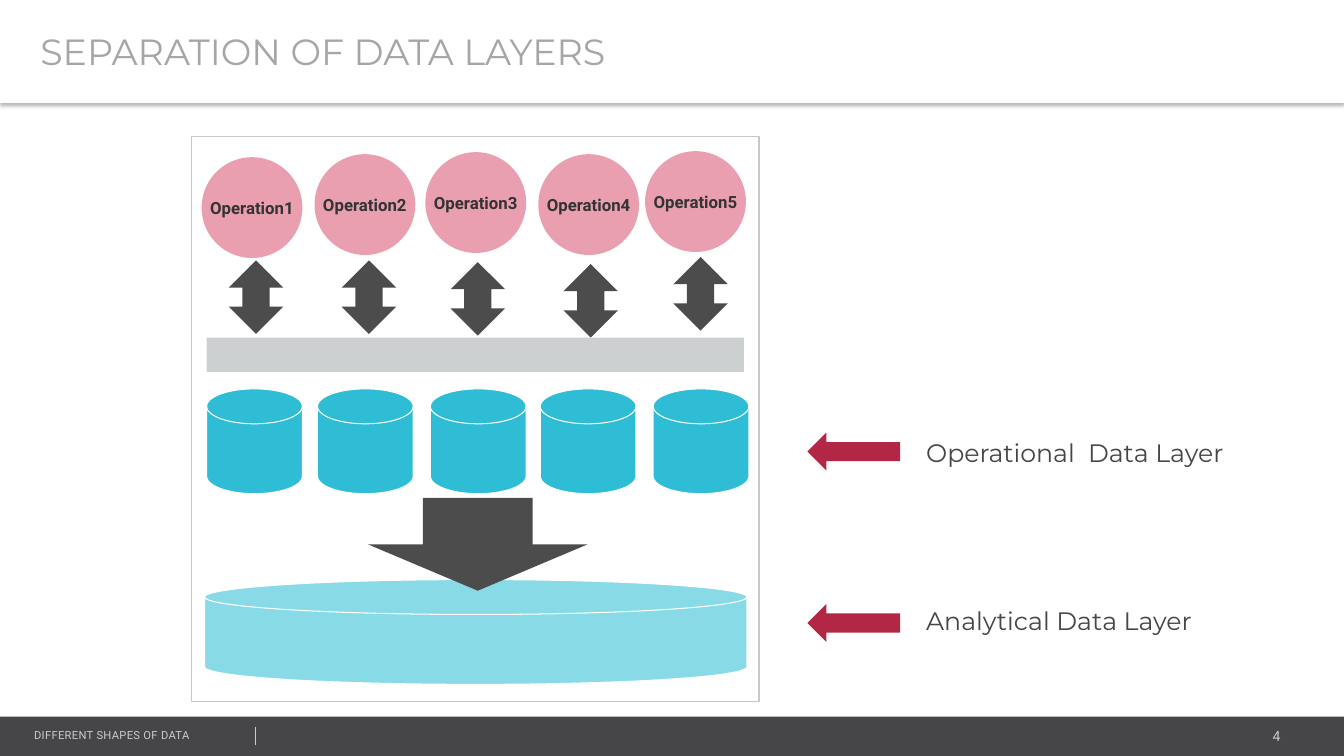
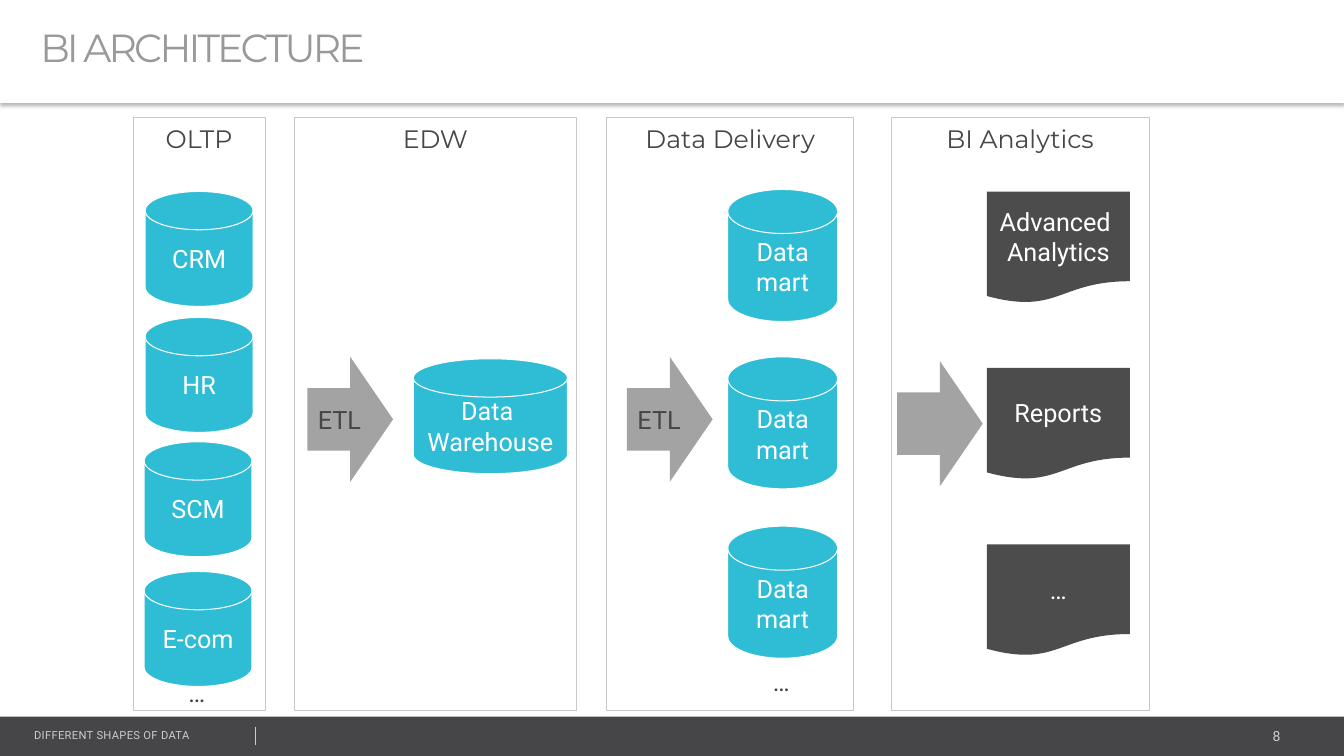
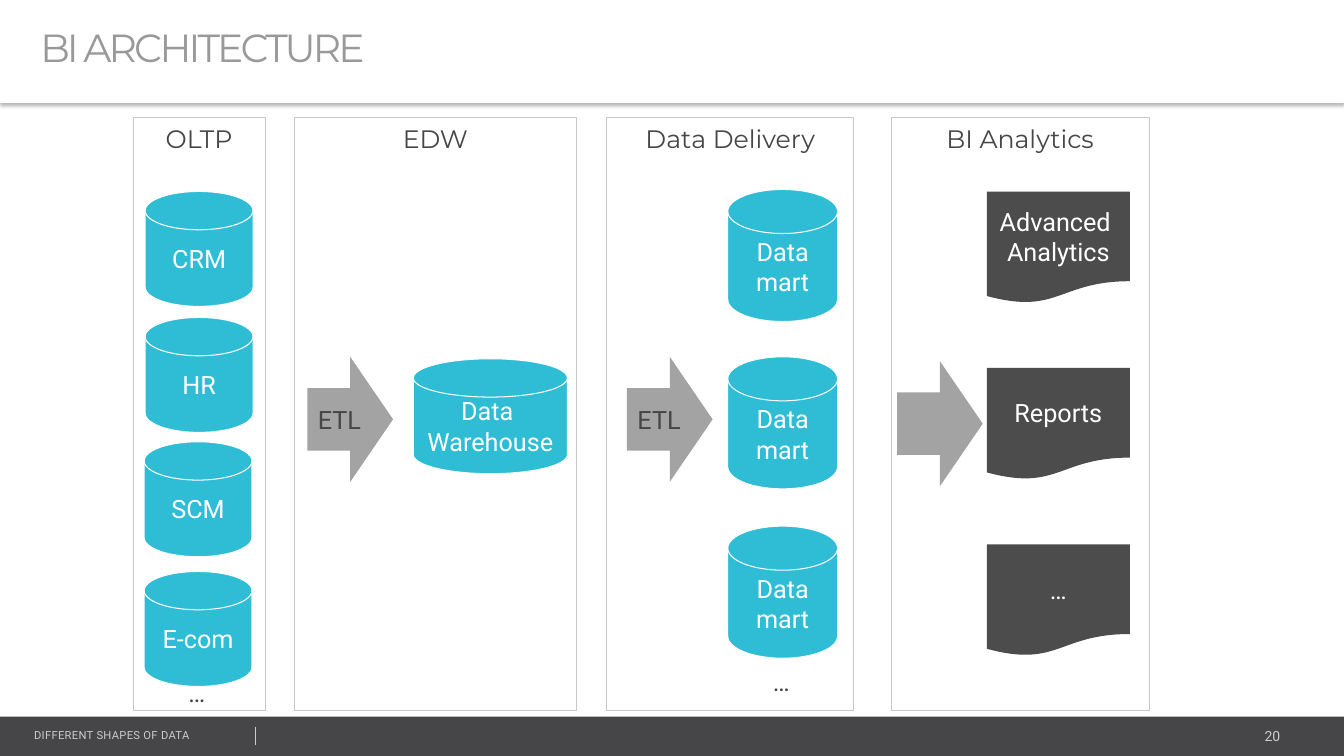
from lxml.etree import SubElement
from pptx import Presentation
from pptx.dml.color import RGBColor
from pptx.enum.shapes import MSO_CONNECTOR, MSO_SHAPE
from pptx.enum.text import MSO_ANCHOR, PP_ALIGN
from pptx.oxml.ns import qn
from pptx.util import Inches, Pt

WHITE = RGBColor(0xFF, 0xFF, 0xFF)
CHARCOAL = RGBColor(0x46, 0x45, 0x47)
DARK = RGBColor(0x4C, 0x4C, 0x4C)
INK = RGBColor(0x33, 0x33, 0x33)
DOTS = RGBColor(0x44, 0x44, 0x44)
SILVER = RGBColor(0xCC, 0xCC, 0xCC)
FRAME = RGBColor(0xC8, 0xC8, 0xC8)
BAR = RGBColor(0xCD, 0xD0, 0xD1)
GRAY = RGBColor(0xA3, 0xA3, 0xA3)
TITLE_LIGHT = RGBColor(0xA6, 0xA6, 0xA6)
TITLE_GRAY = RGBColor(0x99, 0x99, 0x99)
PINK = RGBColor(0xEA, 0x9F, 0xB0)
CYAN = RGBColor(0x2F, 0xBD, 0xD5)
PALE_CYAN = RGBColor(0x88, 0xDA, 0xE7)
RED = RGBColor(0xB2, 0x27, 0x46)

HEADING = "Montserrat"
BODY = "Roboto"
COLUMNS, ROWS = 160, 90


class Deck:
    def __init__(self):
        self.presentation = Presentation()
        self.presentation.slide_width = Inches(13.33)
        self.presentation.slide_height = Inches(7.5)
        self.column = self.presentation.slide_width / COLUMNS
        self.row = self.presentation.slide_height / ROWS
        self.slide = None

    def cells(self, left, top, width, height):
        return (round(left * self.column), round(top * self.row),
                round(width * self.column), round(height * self.row))

    def shape(self, kind, box, fill=None, line=None):
        shape = self.slide.shapes.add_shape(kind, *self.cells(*box))
        shape.shadow.inherit = False
        if fill is None:
            shape.fill.background()
        else:
            shape.fill.solid()
            shape.fill.fore_color.rgb = fill
        if line is None:
            shape.line.fill.background()
        else:
            shape.line.color.rgb = line
            shape.line.width = Pt(0.75)
        return shape

    def set_text(self, shape, text, size=18, color=WHITE, font=BODY, bold=False,
                 align=PP_ALIGN.CENTER, anchor=MSO_ANCHOR.MIDDLE, wrap=True,
                 leading=None, tracking=None):
        frame = shape.text_frame
        frame.text = text
        frame.word_wrap = wrap
        frame.vertical_anchor = anchor
        for paragraph in frame.paragraphs:
            paragraph.alignment = align
            if leading:
                paragraph.line_spacing = leading
            for run in paragraph.runs:
                run.font.name = font
                run.font.size = Pt(size)
                run.font.bold = bold
                run.font.color.rgb = color
                if tracking:
                    run._r.get_or_add_rPr().set("spc", str(tracking))

    def label(self, box, text, align=PP_ALIGN.LEFT, **style):
        textbox = self.slide.shapes.add_textbox(*self.cells(*box))
        self.set_text(textbox, text, align=align, anchor=MSO_ANCHOR.TOP, **style)

    def disk(self, box, text="", fill=CYAN):
        disk = self.shape(MSO_SHAPE.FLOWCHART_MAGNETIC_DISK, box, fill, WHITE)
        if text:
            self.set_text(disk, text)

    def document(self, box, text):
        self.set_text(self.shape(MSO_SHAPE.FLOWCHART_DOCUMENT, box, DARK), text)

    def circle(self, box, text):
        circle = self.shape(MSO_SHAPE.OVAL, box, PINK)
        frame = circle.text_frame
        frame.margin_left = frame.margin_right = 0
        frame.margin_top = frame.margin_bottom = 0
        self.set_text(circle, text, 12, INK, bold=True, wrap=False)

    def flow(self, box, text=""):
        arrow = self.shape(MSO_SHAPE.RIGHT_ARROW, box, GRAY)
        if text:
            self.set_text(arrow, text, color=CHARCOAL)

    def panel(self, box, text=""):
        panel = self.shape(MSO_SHAPE.RECTANGLE, box, line=FRAME)
        if text:
            self.set_text(panel, text, color=CHARCOAL, font=HEADING, anchor=MSO_ANCHOR.TOP)

    def title(self, text, **style):
        band = self.shape(MSO_SHAPE.RECTANGLE, (0, 0, COLUMNS, 12.24), WHITE)
        effects = band._element.spPr.find(qn("a:effectLst"))
        shadow = SubElement(effects, qn("a:outerShdw"), blurRad=str(Pt(3.1)),
                            dist=str(Pt(2)), dir="5400000", algn="t", rotWithShape="0")
        black = SubElement(shadow, qn("a:srgbClr"), val="000000")
        SubElement(black, qn("a:alpha"), val="30000")
        band.text_frame.margin_left = Inches(0.4)
        self.set_text(band, text, font=HEADING, align=PP_ALIGN.LEFT, **style)

    def footer(self, number):
        self.shape(MSO_SHAPE.RECTANGLE, (0, 85.3, COLUMNS, 4.7), CHARCOAL)
        self.label((127.44, 86.04, 26.16, 3.24), str(number), PP_ALIGN.RIGHT,
                   size=10, color=SILVER)
        self.label((2.88, 86.16, 40.56, 2.88), "DIFFERENT SHAPES OF DATA",
                   size=8, color=SILVER, tracking=20)
        x, top, _, height = self.cells(30.36, 86.5, 0, 2.2)
        divider = self.slide.shapes.add_connector(
            MSO_CONNECTOR.STRAIGHT, x, top, x, top + height)
        divider.line.color.rgb = SILVER
        divider.line.width = Pt(0.25)
        SubElement(divider._element.spPr, qn("a:effectLst"))

    def start(self, number, title, **style):
        self.slide = self.presentation.slides.add_slide(self.presentation.slide_layouts[6])
        self.footer(number)
        self.title(title, **style)


def data_layers(deck):
    deck.start(4, "SEPARATION OF DATA LAYERS", size=26, color=TITLE_LIGHT)
    operations = [
        ((24, 18.72), (27.24, 31), 24.6),
        ((37.44, 18.36), (40.68, 31), 37.8),
        ((50.64, 18.12), (53.64, 31.2), 51.24),
        ((64.08, 18.36), (67.08, 31.44), 64.32),
        ((76.8, 18), (80.16, 30.6), 77.76),
    ]
    for index, (operation, exchange, store) in enumerate(operations, 1):
        deck.circle((*operation, 12, 12), f"Operation{index}")
        deck.shape(MSO_SHAPE.UP_DOWN_ARROW, (*exchange, 6.48, 8.76), DARK)
        deck.disk((store, 46.3, 11.4, 12.48))
    deck.shape(MSO_SHAPE.RECTANGLE, (24.6, 40.2, 63.96, 4.08), BAR)
    deck.panel((22.8, 16.2, 67.56, 67.32))
    deck.disk((24.36, 69, 64.56, 12.48), fill=PALE_CYAN)
    deck.shape(MSO_SHAPE.DOWN_ARROW, (43.8, 59.28, 26.16, 11.04), DARK)

    layers = [("Operational  Data Layer", 51.48, 51.48),
              ("Analytical Data Layer", 71.52, 71.88)]
    for layer, label_top, pointer_top in layers:
        deck.label((109.08, label_top, 41.64, 4.8), layer, color=CHARCOAL, font=HEADING)
        deck.shape(MSO_SHAPE.LEFT_ARROW, (96.12, pointer_top, 11.04, 4.56), RED)


def bi_architecture(deck, number):
    deck.start(number, "BI ARCHITECTURE", size=28, color=TITLE_GRAY,
               leading=0.8, tracking=-200)
    stages = [("OLTP", 15.84, 15.72), ("EDW", 35.04, 33.6),
              ("Data Delivery", 72.24, 29.4), ("BI Analytics", 106.08, 30.72)]
    for stage, left, width in stages:
        deck.panel((left, 14.04, width, 70.56), stage)

    sources = [("CRM", 17.28, 22.8), ("HR", 17.28, 37.8),
               ("SCM", 17.16, 52.6), ("E-com", 17.16, 68.04)]
    for source, left, top in sources:
        deck.disk((left, top, 12.84, 13.68), source)
    deck.disk((49.2, 42.72, 18.36, 13.68), "Data \nWarehouse")
    for top in (22.56, 42.48, 62.64):
        deck.disk((86.64, top, 13.08, 15.72), "Data mart")
    for index, output in enumerate(("Advanced \nAnalytics", "Reports", "…")):
        deck.document((117.48, 22.8 + 21 * index, 17.04, 13.32), output)

    for left, top, step in ((36.6, 42.48, "ETL"), (74.64, 42.48, "ETL"), (106.8, 43, "")):
        deck.flow((left, top, 10.2, 14.88), step)
    for left, top in ((21.24, 79.32), (90.84, 78)):
        deck.label((left, top, 4.68, 5.16), "…", color=DOTS, leading=1.2)


def main():
    deck = Deck()
    data_layers(deck)
    for number in (8, 20):
        bi_architecture(deck, number)
    deck.presentation.save("out.pptx")


if __name__ == "__main__":
    main()
